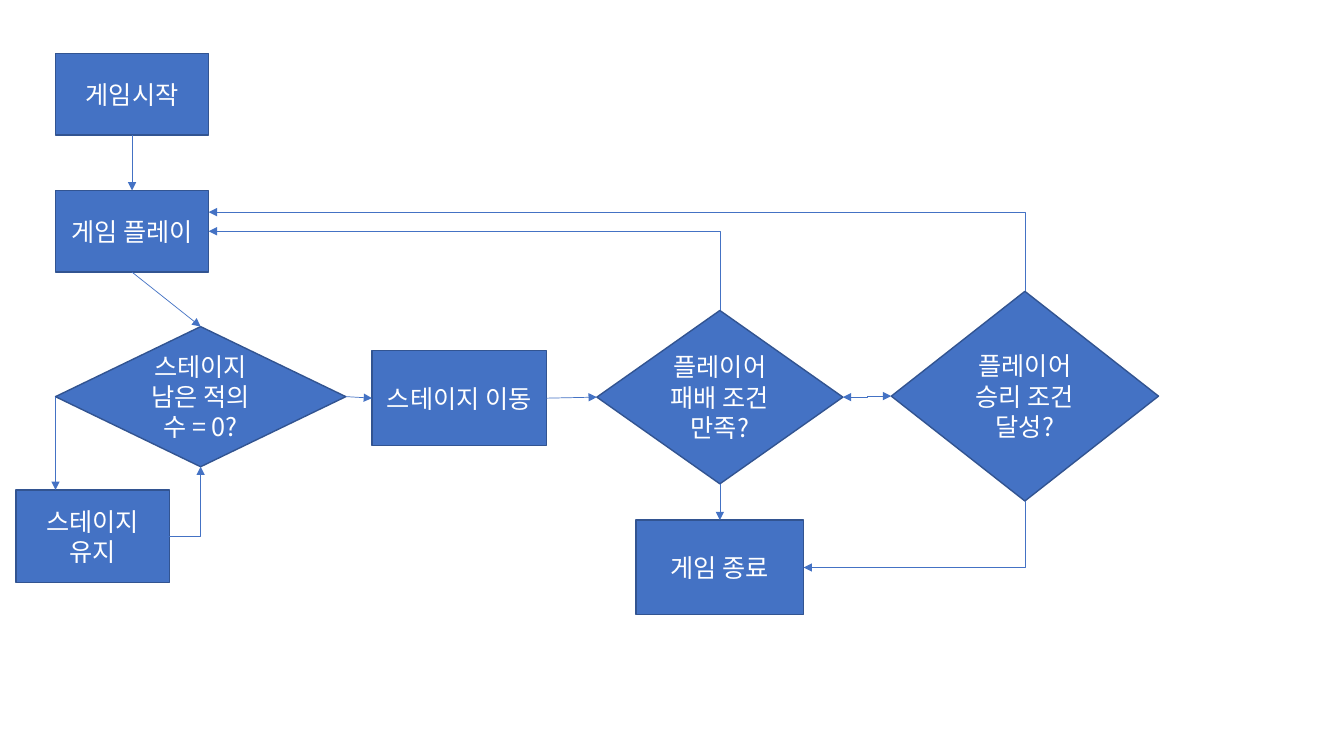
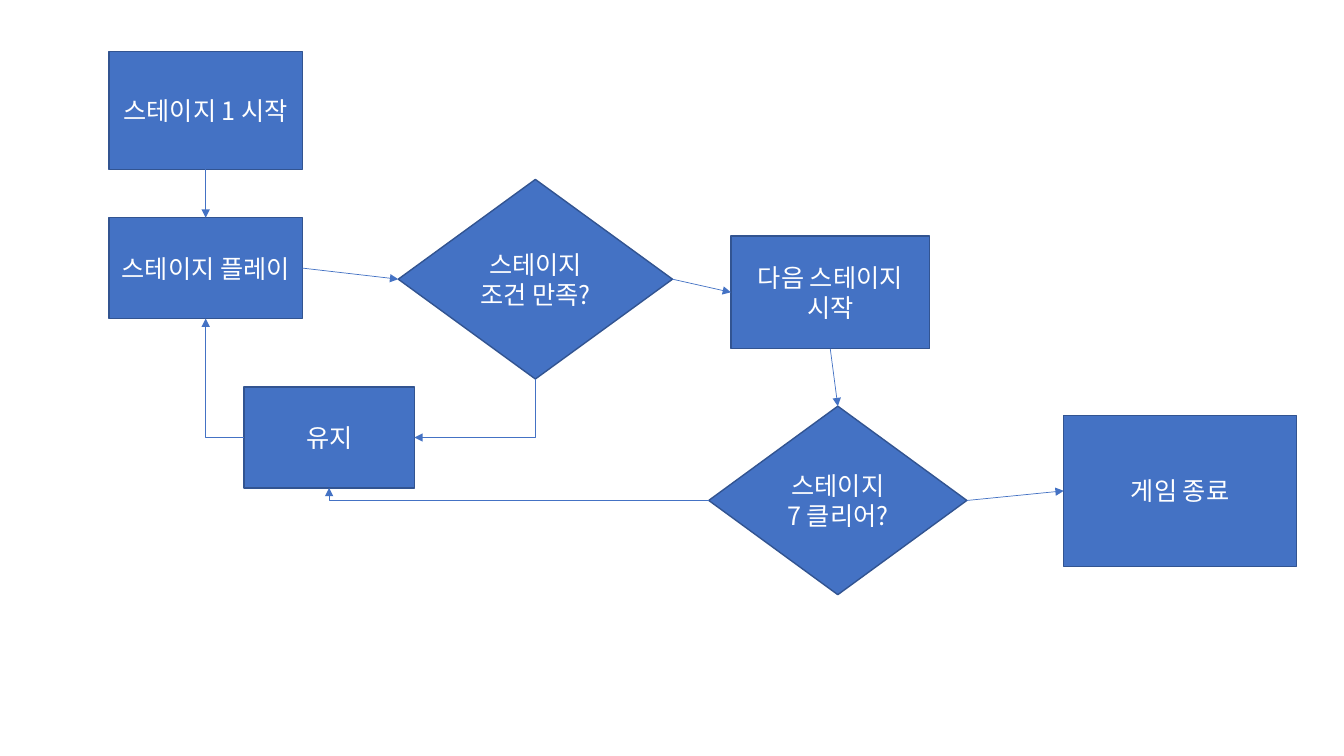
from lxml.etree import SubElement
from pptx import Presentation
from pptx.dml.color import RGBColor
from pptx.enum.shapes import MSO_CONNECTOR, MSO_SHAPE
from pptx.enum.text import MSO_ANCHOR, PP_ALIGN
from pptx.oxml.ns import qn
from pptx.util import Pt

PX = 9144  # EMU per px, 100 px to the inch
COLORS = {"fill": "4472C4", "outline": "325491", "arrow": "4472C4", "text": "FFFFFF"}
FONT = "Noto Sans CJK KR"
TOP, LEFT, BOTTOM, RIGHT = range(4)
BOX, DECISION = MSO_SHAPE.RECTANGLE, MSO_SHAPE.FLOWCHART_DECISION


def px(value):
    return round(value * PX)


def color(name):
    return RGBColor.from_string(COLORS[name])


def write_text(shape, text, size=18, font=FONT, fill="text", align=PP_ALIGN.CENTER):
    frame = shape.text_frame
    frame.word_wrap = True
    frame.vertical_anchor = MSO_ANCHOR.MIDDLE
    paragraph = frame.paragraphs[0]
    paragraph.alignment = align
    run = paragraph.add_run()
    run.text = text
    run.font.size = Pt(size)
    run.font.name = font
    run.font.color.rgb = color(fill)
    SubElement(run.font._element, qn("a:ea")).set("typeface", font)


def add_node(slide, kind, text, left, top, width, height):
    shape = slide.shapes.add_shape(kind, px(left), px(top), px(width), px(height))
    shape.shadow.inherit = False
    shape.fill.solid()
    shape.fill.fore_color.rgb = color("fill")
    shape.line.color.rgb = color("outline")
    shape.line.width = Pt(1)
    write_text(shape, text)
    return shape


def side_point(shape, side):
    """Middle of one side of a shape, in EMU."""
    across = {LEFT: 0, RIGHT: 2}.get(side, 1)
    down = {TOP: 0, BOTTOM: 2}.get(side, 1)
    return shape.left + shape.width * across // 2, shape.top + shape.height * down // 2


def style_connector(connector, both_ends=False):
    connector.line.color.rgb = color("arrow")
    connector.line.width = Pt(0.5)
    line = connector.line._ln
    for end in ("a:headEnd", "a:tailEnd") if both_ends else ("a:tailEnd",):
        SubElement(line, qn(end)).set("type", "triangle")
    SubElement(connector._element.spPr, qn("a:effectLst"))


def add_straight(slide, source, source_side, target, target_side, shift=0):
    """Straight arrow; a shift moves its end along the target's top or bottom."""
    end_x, end_y = side_point(target, target_side)
    connector = slide.shapes.add_connector(
        MSO_CONNECTOR.STRAIGHT, *side_point(source, source_side), end_x + px(shift), end_y)
    connector.begin_connect(source, source_side)
    if not shift:
        connector.end_connect(target, target_side)
    style_connector(connector)


def add_step(slide, source, source_side, target, target_side):
    """Two-headed arrow with a step halfway."""
    connector = slide.shapes.add_connector(
        MSO_CONNECTOR.ELBOW, *side_point(source, source_side), *side_point(target, target_side))
    style_connector(connector, both_ends=True)


def add_corner(slide, source, source_side, target, target_side, shift=0):
    """Arrow with one corner; a shift moves its end down the target's side."""
    start_x, start_y = side_point(source, source_side)
    end_x, end_y = side_point(target, target_side)
    end_y += px(shift)
    rotation = 0
    if source_side in (TOP, BOTTOM):
        # The preset leaves sideways, so lay it out on its side and turn it
        rotation = 90 if source_side == BOTTOM else 270
        turn = 1 if source_side == BOTTOM else -1
        middle_x, middle_y = (start_x + end_x) // 2, (start_y + end_y) // 2
        half_width = abs(end_y - start_y) // 2
        half_height = turn * (start_x - end_x) // 2
        start_x, end_x = middle_x - half_width, middle_x + half_width
        start_y, end_y = middle_y - half_height, middle_y + half_height
    connector = slide.shapes.add_connector(MSO_CONNECTOR.ELBOW, start_x, start_y, end_x, end_y)
    properties = connector._element.spPr
    properties.find(qn("a:prstGeom")).set("prst", "bentConnector2")
    if rotation:
        properties.find(qn("a:xfrm")).set("rot", str(rotation * 60000))
    style_connector(connector)


def build_game_flow(slide):
    # Steps and decisions
    start = add_node(slide, BOX, "게임시작", 55, 53, 152, 81)
    play = add_node(slide, BOX, "게임 플레이", 55, 189, 152, 81)
    enemies = add_node(slide, DECISION, "스테이지 남은 적의 수 = 0?", 55, 324, 288, 139)
    stay = add_node(slide, BOX, "스테이지 유지", 16, 486, 152, 92)
    move = add_node(slide, BOX, "스테이지 이동", 369, 348, 173, 94)
    finish = add_node(slide, BOX, "게임 종료", 631, 516, 166, 94)
    defeat = add_node(slide, DECISION, "플레이어 패배 조건 만족?", 592, 308, 244, 172)
    victory = add_node(slide, DECISION, "플레이어 승리 조건 달성?", 884, 289, 265, 208)

    # Arrows
    add_straight(slide, start, BOTTOM, play, TOP)
    add_straight(slide, play, BOTTOM, enemies, TOP)
    add_straight(slide, enemies, LEFT, stay, TOP, shift=-37)
    add_corner(slide, stay, RIGHT, enemies, BOTTOM)
    add_straight(slide, enemies, RIGHT, move, LEFT)
    add_straight(slide, move, RIGHT, defeat, LEFT)
    add_straight(slide, defeat, BOTTOM, finish, TOP)
    add_corner(slide, defeat, TOP, play, RIGHT)
    add_step(slide, defeat, RIGHT, victory, LEFT)
    add_corner(slide, victory, BOTTOM, finish, RIGHT)
    add_corner(slide, victory, TOP, play, RIGHT, shift=-19)


def build_stage_flow(slide):
    # Steps and decisions
    start = add_node(slide, BOX, "스테이지 1 시작", 108, 51, 192, 117)
    play = add_node(slide, BOX, "스테이지 플레이", 108, 216, 192, 100)
    condition = add_node(slide, DECISION, "스테이지 조건 만족?", 395, 178, 272, 198)
    stay = add_node(slide, BOX, "유지", 242, 384, 169, 100)
    following = add_node(slide, BOX, "다음 스테이지 시작", 725, 234, 197, 112)
    cleared = add_node(slide, DECISION, "스테이지 7 클리어?", 703, 403, 256, 187)
    finish = add_node(slide, BOX, "게임 종료", 1055, 412, 231, 150)

    # Arrows
    add_straight(slide, start, BOTTOM, play, TOP)
    add_straight(slide, play, RIGHT, condition, LEFT)
    add_straight(slide, condition, RIGHT, following, LEFT)
    add_corner(slide, condition, BOTTOM, stay, RIGHT)
    add_corner(slide, stay, LEFT, play, BOTTOM)
    add_straight(slide, following, BOTTOM, cleared, TOP)
    add_straight(slide, cleared, RIGHT, finish, LEFT)
    add_corner(slide, cleared, LEFT, stay, BOTTOM)


def main():
    presentation = Presentation()
    presentation.slide_width, presentation.slide_height = px(1333), px(750)
    for build in (build_game_flow, build_stage_flow):
        build(presentation.slides.add_slide(presentation.slide_layouts[6]))
    presentation.save("out.pptx")


if __name__ == "__main__":
    main()
